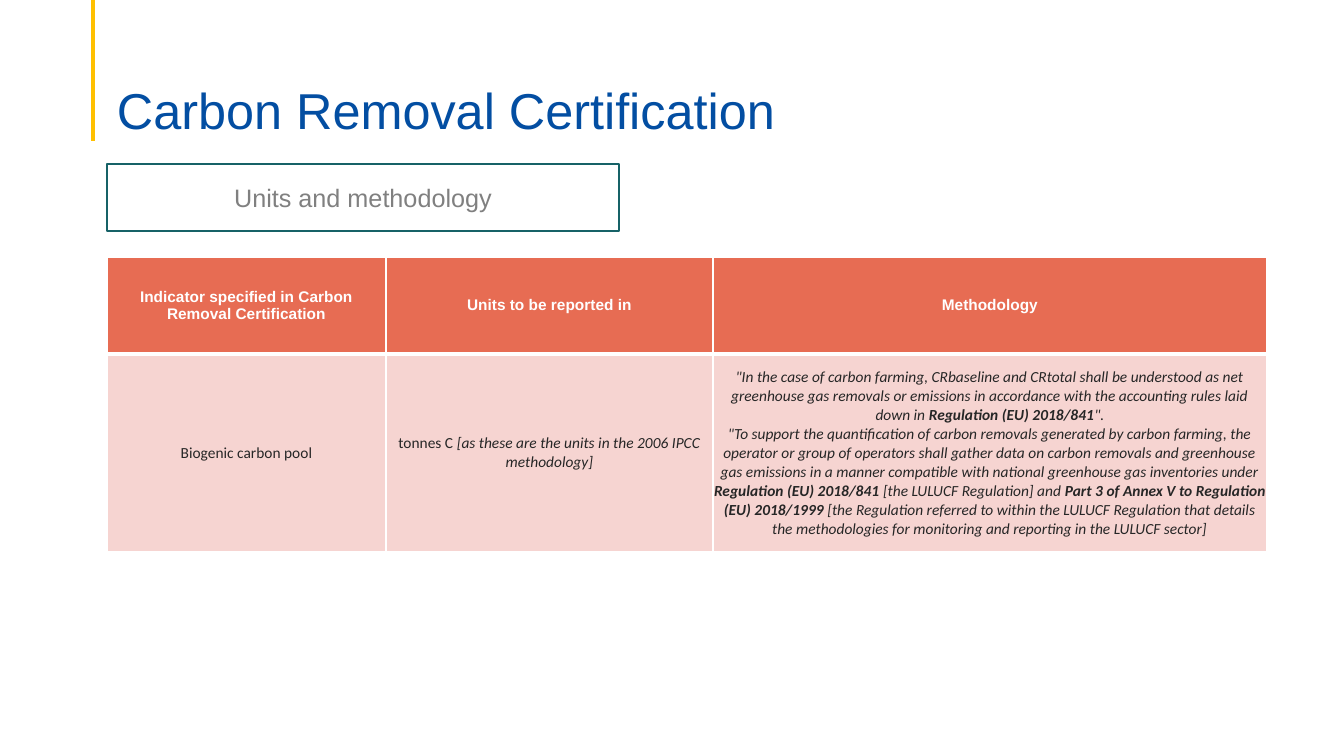
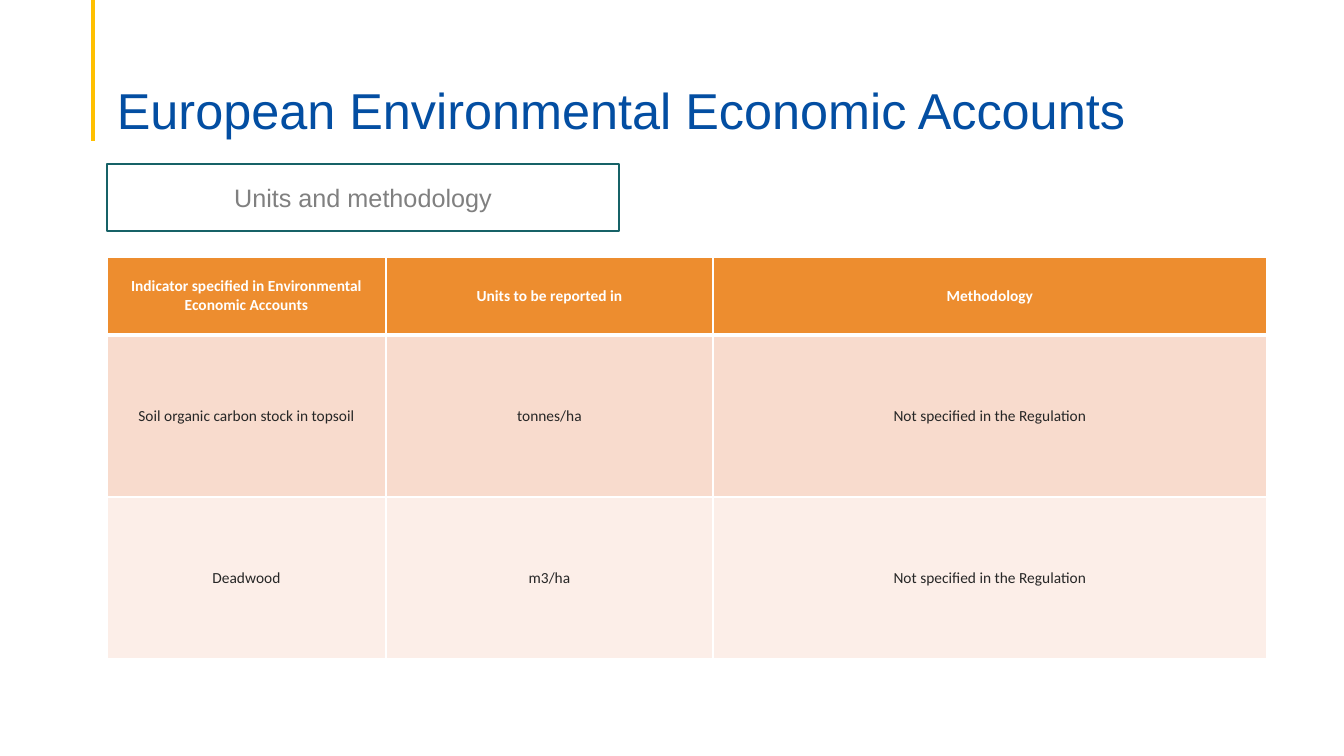
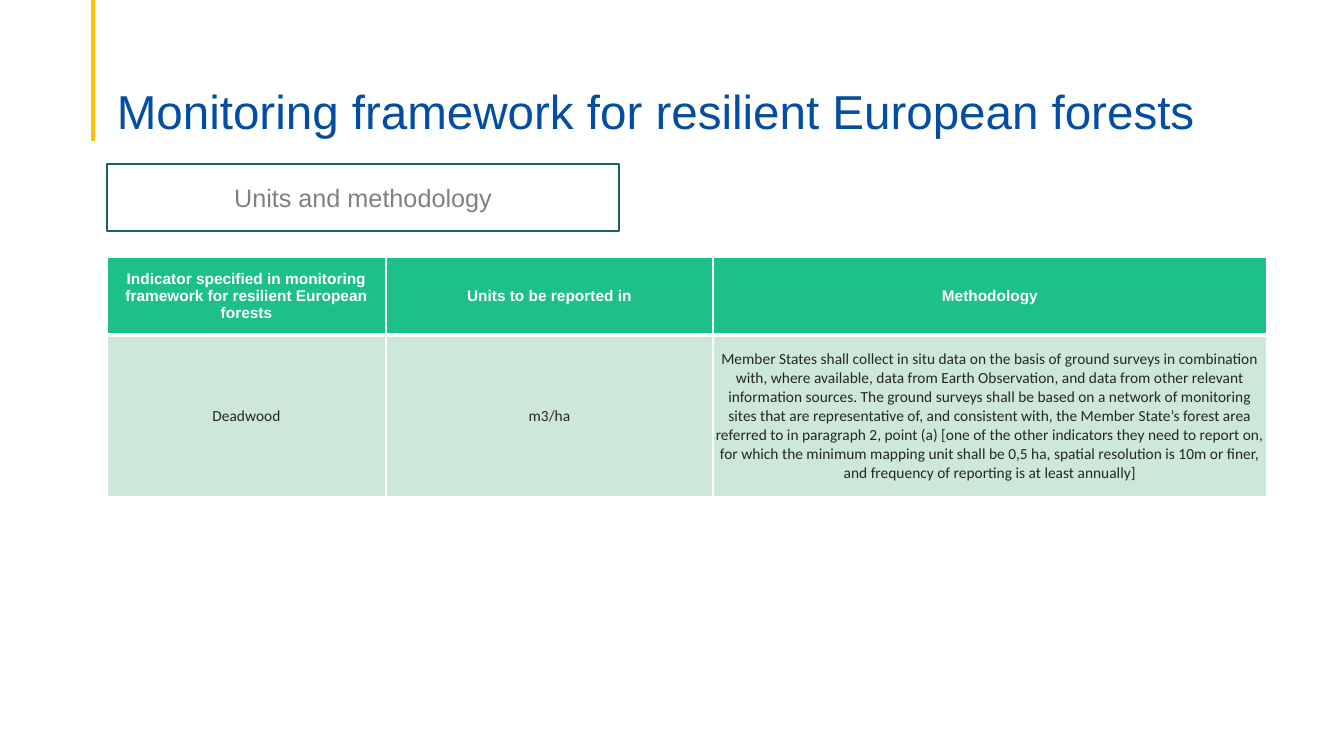
from lxml import etree
from pptx import Presentation
from pptx.dml.color import RGBColor
from pptx.enum.shapes import MSO_CONNECTOR, MSO_SHAPE
from pptx.enum.text import MSO_ANCHOR, PP_ALIGN
from pptx.oxml.ns import qn
from pptx.util import Pt

PX = 914400 / 100.8  # EMU per px

COLORS = {
    "white": "FFFFFF", "rule": "FFC000", "title": "034EA2",
    "badge_line": "166267", "badge_text": "808080", "body": "262626",
    "coral": "E76C53", "coral_light": "F6D4D1",
    "orange": "ED8D2F", "orange_light": "F8DBCD", "orange_pale": "FCEEE8",
    "green": "1EC08A", "green_light": "CDE8DA",
}

# Content: a body cell is plain text or a list of (text, style) runs,
# where style holds "b" and/or "i" and "\n" is a line break
BADGE = "Units and methodology"
HEADINGS = ["Units to be reported in", "Methodology"]
UNSPECIFIED = "Not specified in the Regulation"

SLIDES = [
    {
        "title": "Carbon Removal Certification", "title_size": 36,
        "indicator": "Indicator specified in Carbon Removal Certification",
        "head_font": "Arial", "head_fill": "coral", "fills": ["coral_light"],
        "heights": (97, 198),
        "rows": [[
            "Biogenic carbon pool",
            [("tonnes C ", ""),
             ("[as these are the units in the 2006 IPCC methodology]", "i")],
            [("\"In the case of carbon farming, CRbaseline and CRtotal shall be "
              "understood as net greenhouse gas removals or emissions in "
              "accordance with the accounting rules laid down in ", "i"),
             ("Regulation (EU) 2018/841", "bi"),
             ("\".", "i"),
             ("\n", ""),
             ("\"To support the quantification of carbon removals generated by "
              "carbon farming, the operator or group of operators shall gather "
              "data on carbon removals and greenhouse gas emissions in a manner "
              "compatible with national greenhouse gas inventories under ", "i"),
             ("Regulation (EU) 2018/841 ", "bi"),
             ("[the LULUCF Regulation] and ", "i"),
             ("Part 3 of Annex V to Regulation (EU) 2018/1999 ", "bi"),
             ("[the Regulation referred to within the LULUCF Regulation that "
              "details the methodologies for monitoring and reporting in the "
              "LULUCF sector]", "i")],
        ]],
    },
    {
        "title": "European Environmental Economic Accounts", "title_size": 36,
        "indicator": "Indicator specified in Environmental Economic Accounts",
        "head_font": "Calibri", "head_fill": "orange",
        "fills": ["orange_light", "orange_pale"],
        "heights": (78, 162),
        "rows": [
            ["Soil organic carbon stock in topsoil", "tonnes/ha", UNSPECIFIED],
            ["Deadwood", "m3/ha", UNSPECIFIED],
        ],
    },
    {
        "title": "Monitoring framework for resilient European forests",
        "title_size": 34,
        "indicator": "Indicator specified in monitoring framework for "
                     "resilient European forests",
        "head_font": "Arial", "head_fill": "green", "fills": ["green_light"],
        "heights": (78, 162),
        "rows": [[
            "Deadwood", "m3/ha",
            "Member States shall collect in situ data on the basis of ground "
            "surveys in combination with, where available, data from Earth "
            "Observation, and data from other relevant information sources. The "
            "ground surveys shall be based on a network of monitoring sites that "
            "are representative of, and consistent with, the Member State’s "
            "forest area referred to in paragraph 2, point (a) [one of the other "
            "indicators they need to report on, for which the minimum mapping "
            "unit shall be 0,5 ha, spatial resolution is 10m or finer, and "
            "frequency of reporting is at least annually]",
        ]],
    },
]

# Layout in px
LEFT = 107
RULE_X, RULE_BOTTOM = 93, 141
TITLE_BOX = (LEFT, 53, 1159, 87)
BADGE_BOX = (LEFT, 164, 512, 67)
TABLE_TOP = 257
COLUMNS = [279, 327, 554]


def px(n):
    return round(n * PX)


def rgb(name):
    return RGBColor.from_string(COLORS[name])


def style(p, font, size, color, bold=False):
    p.font.name, p.font.size, p.font.bold = font, Pt(size), bold
    p.font.color.rgb = rgb(color)


def add_rule(slide):
    line = slide.shapes.add_connector(
        MSO_CONNECTOR.STRAIGHT, px(RULE_X), 0, px(RULE_X), px(RULE_BOTTOM))
    line.line.color.rgb = rgb("rule")
    line.line.width = Pt(2.25)
    etree.SubElement(line._element.spPr, qn("a:effectLst"))


def add_title(slide, text, size):
    tf = slide.shapes.add_textbox(*map(px, TITLE_BOX)).text_frame
    tf.word_wrap = True
    tf.vertical_anchor = MSO_ANCHOR.BOTTOM
    tf.margin_bottom = 0
    p = tf.paragraphs[0]
    p.text = text
    p.line_spacing = 0.9
    style(p, "Arial", size, "title")


def add_badge(slide):
    sp = slide.shapes.add_shape(MSO_SHAPE.RECTANGLE, *map(px, BADGE_BOX))
    sp.shadow.inherit = False
    sp.fill.solid()
    sp.fill.fore_color.rgb = rgb("white")
    sp.line.color.rgb = rgb("badge_line")
    sp.line.width = Pt(1)
    sp.text_frame.vertical_anchor = MSO_ANCHOR.MIDDLE
    p = sp.text_frame.paragraphs[0]
    p.text = BADGE
    p.alignment = PP_ALIGN.CENTER
    style(p, "Arial", 18, "badge_text")


def set_borders(cell, top, bottom):
    tc_pr = cell._tc.get_or_add_tcPr()
    for side, width in (("L", 1), ("R", 1), ("T", top), ("B", bottom)):
        ln = etree.SubElement(tc_pr, qn("a:ln" + side), w=str(Pt(width)))
        fill = etree.SubElement(ln, qn("a:solidFill"))
        etree.SubElement(fill, qn("a:srgbClr"), val=COLORS["white"])


def fill_cell(cell, content, fill, font, color, bold):
    cell.fill.solid()
    cell.fill.fore_color.rgb = rgb(fill)
    cell.vertical_anchor = MSO_ANCHOR.MIDDLE
    cell.margin_left = cell.margin_right = cell.margin_top = cell.margin_bottom = 0
    p = cell.text_frame.paragraphs[0]
    p.alignment = PP_ALIGN.CENTER
    style(p, font, 11, color, bold)
    if isinstance(content, str):
        p.text = content
        return
    for text, marks in content:
        if text == "\n":
            p.add_line_break()
            continue
        r = p.add_run()
        r.text = text
        r.font.bold, r.font.italic = "b" in marks, "i" in marks


def add_table(slide, data):
    head_height, row_height = data["heights"]
    heights = [head_height] + [row_height] * len(data["rows"])
    rows = [[data["indicator"], *HEADINGS]] + data["rows"]
    fills = [data["head_fill"]] + data["fills"]
    table = slide.shapes.add_table(
        len(rows), len(COLUMNS), px(LEFT), px(TABLE_TOP),
        px(sum(COLUMNS)), px(sum(heights))).table
    table.horz_banding = False
    for column, width in zip(table.columns, COLUMNS):
        column.width = px(width)
    for i, (row, height, fill) in enumerate(zip(rows, heights, fills)):
        table.rows[i].height = px(height)
        head = i == 0
        look = (data["head_font"], "white", True) if head else ("Calibri", "body", False)
        for j, content in enumerate(row):
            cell = table.cell(i, j)
            # Thick line between the header and the first body row
            set_borders(cell, top=3 if i == 1 else 1, bottom=3 if head else 1)
            fill_cell(cell, content, fill, *look)


def main():
    prs = Presentation()
    prs.slide_width, prs.slide_height = px(1344), px(756)
    for data in SLIDES:
        slide = prs.slides.add_slide(prs.slide_layouts[6])
        add_rule(slide)
        add_table(slide, data)
        add_title(slide, data["title"], data["title_size"])
        add_badge(slide)
    prs.save("out.pptx")


if __name__ == "__main__":
    main()
